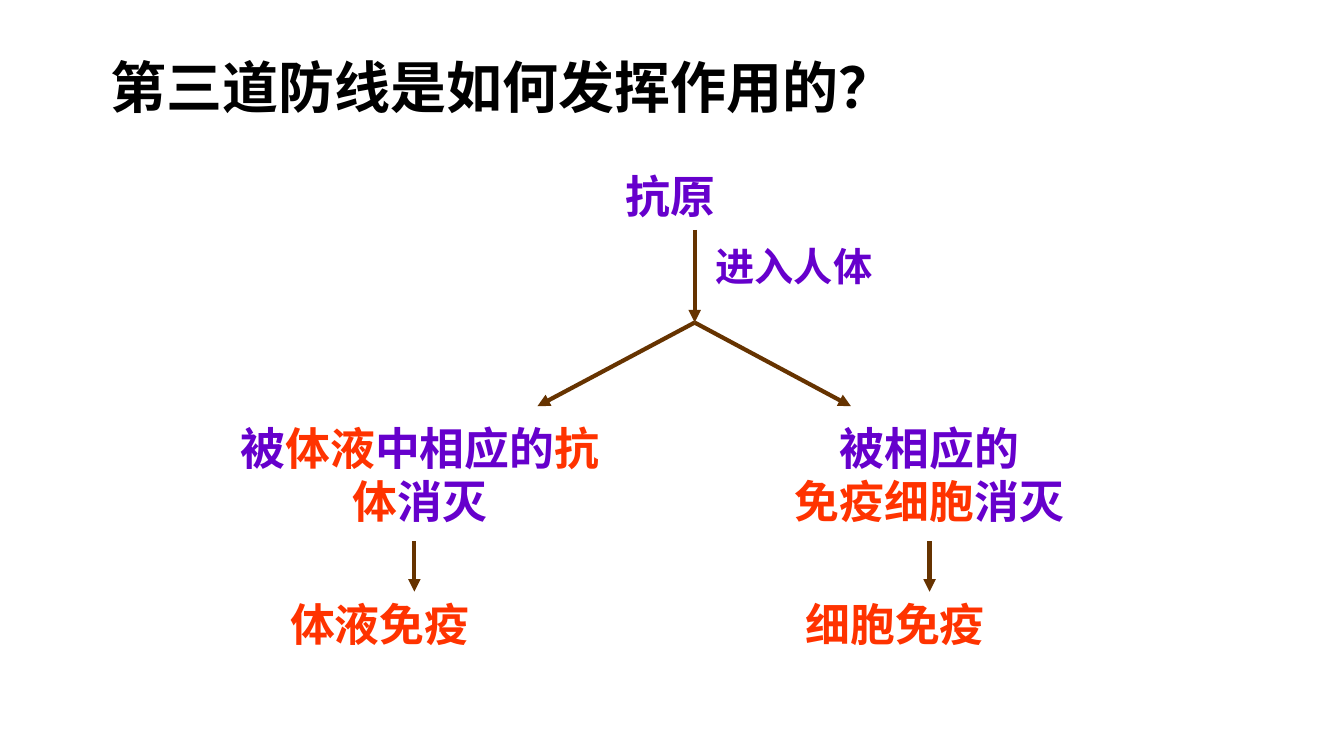
from pptx import Presentation
from pptx.dml.color import RGBColor
from pptx.enum.shapes import MSO_CONNECTOR
from pptx.enum.text import MSO_ANCHOR, PP_ALIGN
from pptx.oxml.ns import qn
from pptx.util import Inches, Pt
from lxml.etree import SubElement

PURPLE, RED, BROWN, BLACK = "6600CC", "FF3300", "663300", "000000"


def add_label(s, box, paragraphs, size=32, align=PP_ALIGN.LEFT):
    """Each paragraph is a list of (text, colour) runs."""
    tf = s.shapes.add_textbox(*map(Inches, box)).text_frame
    tf.word_wrap = True
    for i, runs in enumerate(paragraphs):
        p = tf.paragraphs[0] if i == 0 else tf.add_paragraph()
        p.alignment = align
        for text, color in runs:
            r = p.add_run()
            r.text = text
            r.font.name = "Times New Roman"
            r.font.size = Pt(size)
            r.font.bold = True
            r.font.color.rgb = RGBColor.from_string(color)


def add_arrow(s, start, end):
    arrow = s.shapes.add_connector(MSO_CONNECTOR.STRAIGHT, *map(Inches, start + end))
    arrow.line.color.rgb = RGBColor.from_string(BROWN)
    arrow.line.width = Pt(3)
    spPr = arrow.line._get_or_add_ln().getparent()
    SubElement(spPr.find(qn("a:ln")), qn("a:tailEnd"), type="triangle")
    SubElement(spPr, qn("a:effectLst"))


prs = Presentation()
prs.slide_width, prs.slide_height = Inches(13.33), Inches(7.5)
s = prs.slides.add_slide(prs.slide_layouts[5])

title = s.shapes.title
title.left, title.top, title.width, title.height = map(Inches, (1, 0, 11.22, 1.25))
tf = title.text_frame
tf.text = "第三道防线是如何发挥作用的？"
tf.vertical_anchor = MSO_ANCHOR.BOTTOM
p = tf.paragraphs[0]
p.alignment = PP_ALIGN.LEFT
p.line_spacing = 0.9
font = p.runs[0].font
font.name, font.size, font.bold = "Arial", Pt(40), True
font.color.rgb = RGBColor.from_string(BLACK)

# Antigen enters the body
fork = (6.89, 3.2)
add_label(s, (6.11, 1.62, 1.56, 0.64), [[("抗原", PURPLE)]])
add_label(s, (7, 2.35, 2.44, 0.57), [[("进入人体", PURPLE)]], size=28)
add_arrow(s, (fork[0], 2.28), fork)

# Two branches: fork tip, arrow x, box left and width, response, kind of immunity
branches = [
    (5.33, 4.11, 2.11, 4.11,
     [[("被", PURPLE), ("体液", RED), ("中相应的", PURPLE), ("抗体", RED), ("消灭", PURPLE)]],
     "体液免疫"),
    (8.44, 9.22, 7.22, 4,
     [[("被相应的", PURPLE)], [("免疫细胞", RED), ("消灭", PURPLE)]],
     "细胞免疫"),
]
for tip, x, left, width, response, immunity in branches:
    add_arrow(s, fork, (tip, 4.03))
    add_label(s, (left, 4.12, width, 1.18), response, align=PP_ALIGN.CENTER)
    add_arrow(s, (x, 5.37), (x, 5.87))
    add_label(s, (x - 1.33, 5.87, 3, 0.64), [[(immunity, RED)]])

prs.save("out.pptx")
